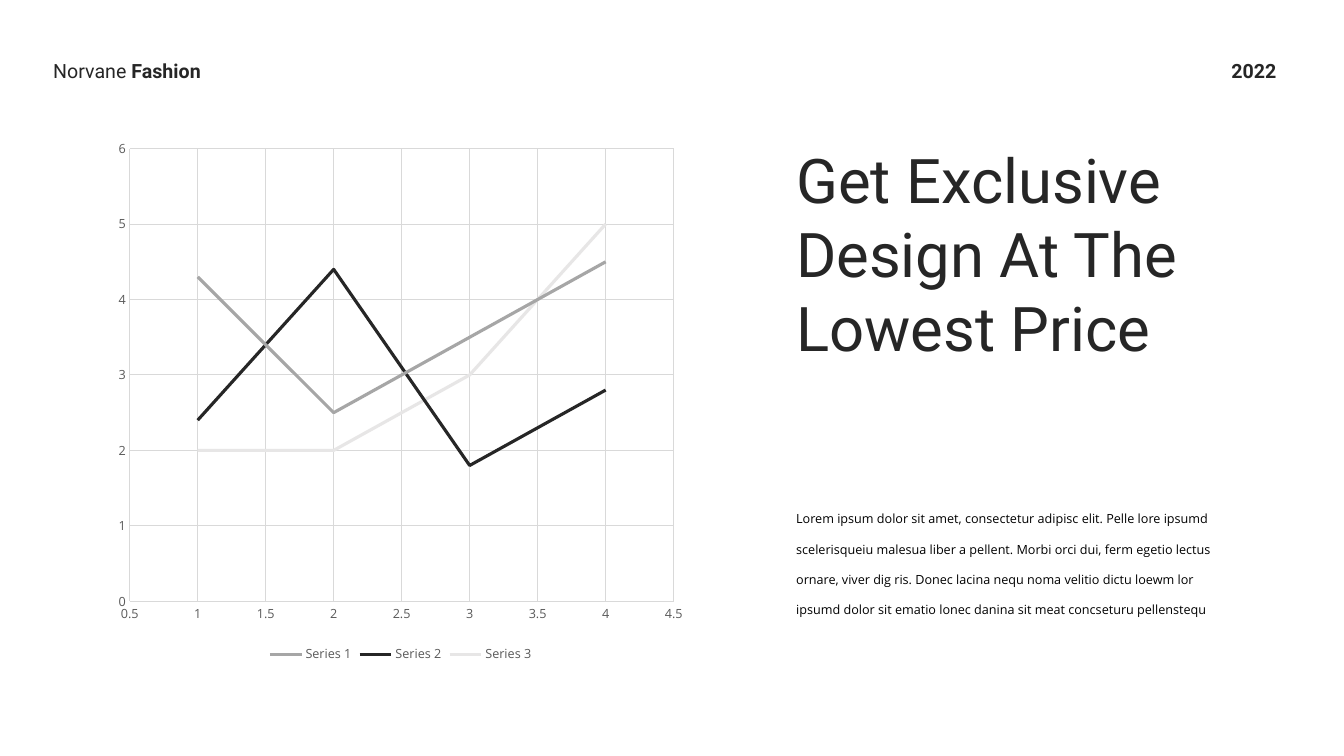
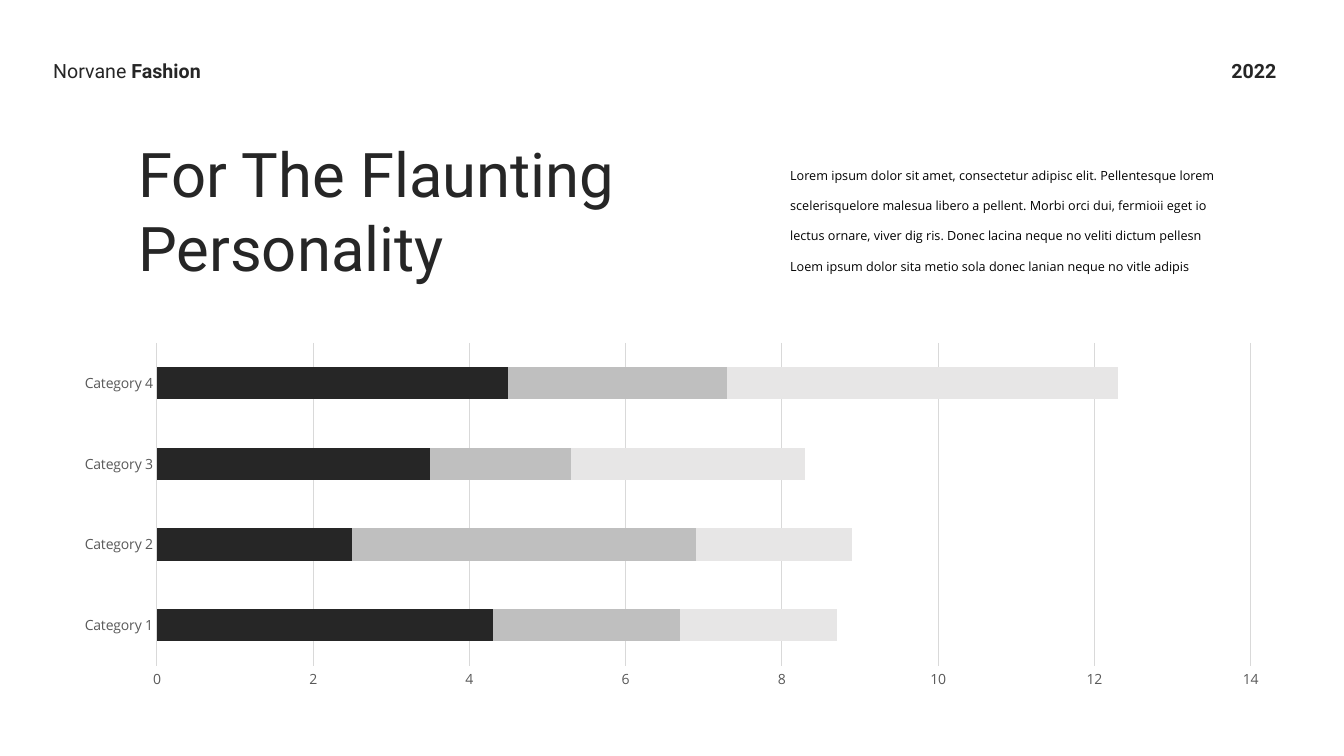
import collections

import pptx
import pptx.chart.data
import pptx.dml.color
import pptx.enum.chart
import pptx.enum.text
import pptx.oxml
import pptx.oxml.ns
import pptx.util
from pptx.util import Cm

Box = collections.namedtuple("Box", "left top width height")

INK = "262626"
BLACK = "000000"
LABEL_GRAY = "595959"
GRID_GRAY = "D9D9D9"
MID_GRAY = "A6A6A6"
SOFT_GRAY = "BFBFBF"
PALE_GRAY = "E7E6E6"
HEADING_FONT = "Roboto"
BODY_FONT = "Open Sans"

HEADER_BOX = Box(1.09, 1.35, 31.42, 0.86)
BRAND_WIDTH = 4.65
YEAR_WIDTH = 1.73

CATEGORIES = ["Category 1", "Category 2", "Category 3", "Category 4"]
SERIES_VALUES = {
    "Series 1": [4.3, 2.5, 3.5, 4.5],
    "Series 2": [2.4, 4.4, 1.8, 2.8],
    "Series 3": [2, 2, 3, 5],
}


def color(hex_value):
    return pptx.dml.color.RGBColor.from_string(hex_value)


def format_font(font, size, name, ink, bold=False):
    font.size = pptx.util.Pt(size)
    font.name = name
    font.bold = bold
    font.color.rgb = color(ink)


def write_text(paragraph, text, *, size, name=HEADING_FONT, ink=INK, bold=False):
    run = paragraph.add_run()
    run.text = text
    format_font(run.font, size, name, ink, bold)


def lengths(box):
    return [Cm(value) for value in box]


def place(shape, box):
    shape.left, shape.top, shape.width, shape.height = lengths(box)


def prepare_frame(shape):
    frame = shape.text_frame
    frame.word_wrap = True
    frame.auto_size = pptx.enum.text.MSO_AUTO_SIZE.NONE
    frame.vertical_anchor = pptx.enum.text.MSO_ANCHOR.TOP
    paragraph = frame.paragraphs[0]
    paragraph.alignment = pptx.enum.text.PP_ALIGN.LEFT
    return paragraph


def add_header(slide, box):
    brand_box = box._replace(width=BRAND_WIDTH)
    year_box = box._replace(left=box.left + box.width - YEAR_WIDTH, width=YEAR_WIDTH)
    brand = prepare_frame(slide.shapes.add_textbox(*lengths(brand_box)))
    write_text(brand, "Norvane ", size=14)
    write_text(brand, "Fashion", size=14, bold=True)
    year = prepare_frame(slide.shapes.add_textbox(*lengths(year_box)))
    write_text(year, "2022", size=14, bold=True)


def fill_title(slide, box, text):
    title = slide.shapes.title
    place(title, box)
    write_text(prepare_frame(title), text, size=44)


def fill_body(slide, box, text):
    body = slide.placeholders[1]
    place(body, box)
    paragraph = prepare_frame(body)
    paragraph.line_spacing = 2.0
    paragraph.space_before = pptx.util.Pt(0)
    properties = paragraph._p.get_or_add_pPr()
    properties.set("marL", "0")
    properties.set("indent", "0")
    properties.append(pptx.oxml.parse_xml(
        "<a:buNone %s/>" % pptx.oxml.ns.nsdecls("a")))
    write_text(paragraph, text, size=9, name=BODY_FONT, ink=BLACK)


def format_line(line, ink, width):
    line.color.rgb = color(ink)
    line.width = pptx.util.Pt(width)


def format_axis(axis, size, has_line, has_grid):
    no_tick = pptx.enum.chart.XL_TICK_MARK.NONE
    axis.major_tick_mark = no_tick
    axis.minor_tick_mark = no_tick
    format_font(axis.tick_labels.font, size, BODY_FONT, LABEL_GRAY)
    if has_line:
        format_line(axis.format.line, GRID_GRAY, 0.75)
    else:
        axis.format.line.fill.background()
    axis.has_major_gridlines = has_grid
    if has_grid:
        format_line(axis.major_gridlines.format.line, GRID_GRAY, 0.75)


def set_scale(axis, minimum, maximum, step):
    axis.minimum_scale = minimum
    axis.maximum_scale = maximum
    axis.major_unit = step


def add_chart(slide, box, kind, data, size):
    chart = slide.shapes.add_chart(kind, *lengths(box), data).chart
    chart.has_title = False
    chart.has_legend = False
    format_font(chart.font, size, BODY_FONT, LABEL_GRAY)
    chart.plots[0].vary_by_categories = False
    return chart


def add_line_chart(slide, box):
    data = pptx.chart.data.XyChartData()
    for name, values in SERIES_VALUES.items():
        series = data.add_series(name)
        for position, value in enumerate(values, start=1):
            series.add_data_point(position, value)
    kind = pptx.enum.chart.XL_CHART_TYPE.XY_SCATTER_LINES_NO_MARKERS
    chart = add_chart(slide, box, kind, data, 9)
    format_axis(chart.category_axis, 9, has_line=True, has_grid=True)
    format_axis(chart.value_axis, 9, has_line=False, has_grid=True)
    set_scale(chart.category_axis, 0.5, 4.5, 0.5)
    set_scale(chart.value_axis, 0, 6, 1)
    for series, ink in zip(chart.plots[0].series, [MID_GRAY, INK, PALE_GRAY]):
        series.smooth = False
        series.marker.style = pptx.enum.chart.XL_MARKER_STYLE.NONE
        format_line(series.format.line, ink, 2.25)
    chart.has_legend = True
    chart.legend.position = pptx.enum.chart.XL_LEGEND_POSITION.BOTTOM
    chart.legend.include_in_layout = False
    format_font(chart.legend.font, 9, BODY_FONT, LABEL_GRAY)


def add_bar_chart(slide, box):
    data = pptx.chart.data.CategoryChartData()
    data.categories = CATEGORIES
    for name, values in SERIES_VALUES.items():
        data.add_series(name, values)
    kind = pptx.enum.chart.XL_CHART_TYPE.BAR_STACKED
    chart = add_chart(slide, box, kind, data, 10)
    format_axis(chart.category_axis, 10, has_line=True, has_grid=False)
    format_axis(chart.value_axis, 10, has_line=False, has_grid=True)
    set_scale(chart.value_axis, 0, 14, 2)
    plot = chart.plots[0]
    plot.gap_width = 150
    plot.overlap = 100
    for series, ink in zip(plot.series, [INK, SOFT_GRAY, PALE_GRAY]):
        series.format.fill.solid()
        series.format.fill.fore_color.rgb = color(ink)


def add_slide(presentation, title, title_box, body, body_box, draw_chart, chart_box):
    slide = presentation.slides.add_slide(presentation.slide_layouts[1])
    add_header(slide, HEADER_BOX)
    draw_chart(slide, chart_box)
    fill_title(slide, title_box, title)
    fill_body(slide, body_box, body)


def main():
    presentation = pptx.Presentation()
    presentation.slide_width = Cm(33.87)
    presentation.slide_height = Cm(19.05)
    add_slide(
        presentation,
        "Get Exclusive Design At The Lowest Price",
        Box(19.81, 3.45, 11.02, 5.89),
        "Lorem ipsum dolor sit amet, consectetur adipisc elit. Pelle lore ipsumd "
        "scelerisqueiu malesua liber a pellent. Morbi orci dui, ferm egetio lectus "
        "ornare, viver dig ris. Donec lacina nequ noma velitio dictu loewm lor "
        "ipsumd dolor sit ematio lonec danina sit meat concseturu pellenstequ",
        Box(19.81, 12.37, 10.97, 3.23),
        add_line_chart,
        Box(2.69, 3.25, 14.81, 13.56),
    )
    add_slide(
        presentation,
        "For The Flaunting Personality",
        Box(3.23, 3.3, 13.72, 4.01),
        "Lorem ipsum dolor sit amet, consectetur adipisc elit. Pellentesque lorem "
        "scelerisquelore malesua libero a pellent. Morbi orci dui, fermioii eget io "
        "lectus ornare, viver dig ris. Donec lacina neque no veliti dictum pellesn "
        "Loem ipsum dolor sita metio sola donec lanian neque no vitle adipis",
        Box(19.66, 3.71, 11.33, 3.23),
        add_bar_chart,
        Box(1.52, 8.46, 30.81, 9.07),
    )
    presentation.save("out.pptx")


if __name__ == "__main__":
    main()
